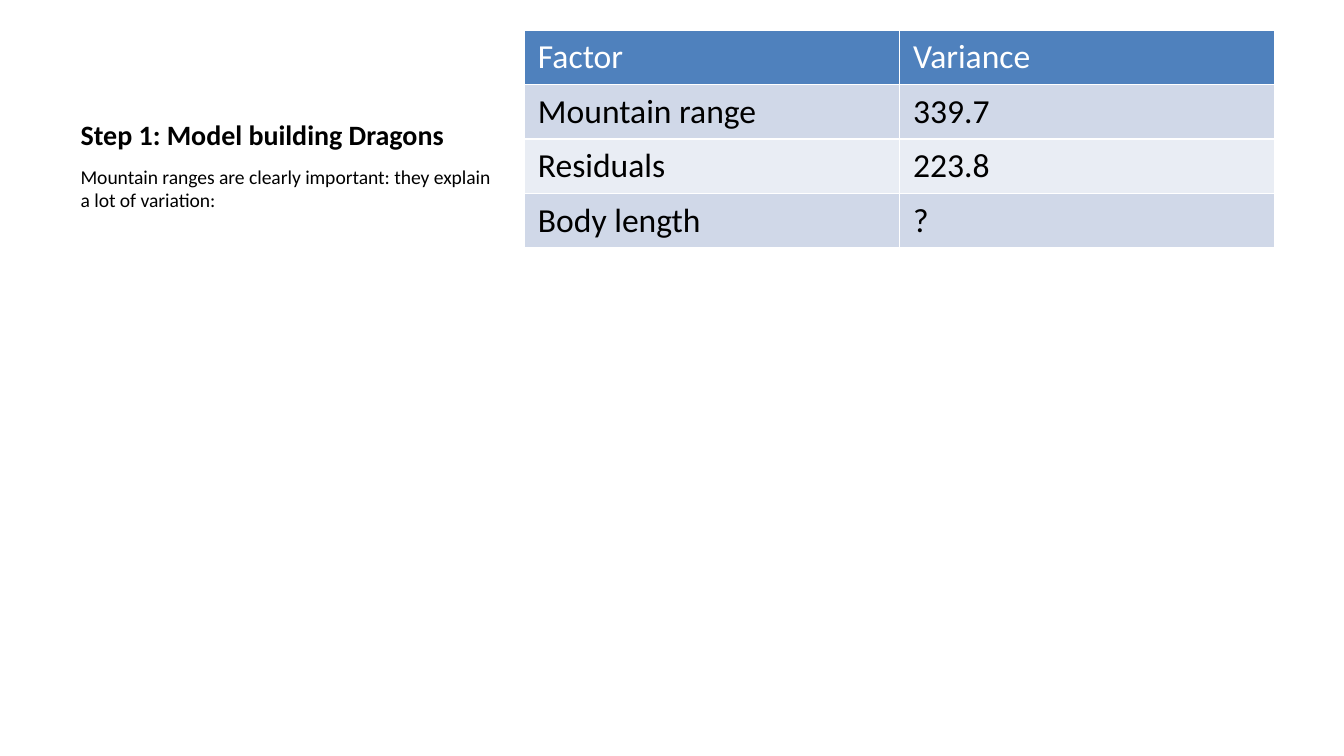
import pptx
import pptx.dml.color
import pptx.enum.text
import pptx.util

Pt = pptx.util.Pt
COLORS = {
    "text": "000000",
    "header_text": "FFFFFF",
    "header": "4F81BD",
    "odd_row": "D0D8E8",
    "even_row": "E9EDF4",
}
ROWS = [
    ("Factor", "Variance"),
    ("Mountain range", "339.7"),
    ("Residuals", "223.8"),
    ("Body length", "?"),
]


def color(name):
    return pptx.dml.color.RGBColor.from_string(COLORS[name])


def style_paragraph(para, size, color_name, bold=False):
    para.font.name = "Calibri"
    para.font.size = Pt(size)
    para.font.bold = bold
    para.font.color.rgb = color(color_name)


deck = pptx.Presentation()
deck.slide_width, deck.slide_height = Pt(720), Pt(405)
page = deck.slides.add_slide(deck.slide_layouts.get_by_name("Content with Caption"))

# The table takes the place of the content placeholder
content = page.placeholders[1]
content.element.getparent().remove(content.element)

# Title and caption share the left column
captions = [
    (page.shapes.title, "Step 1: Model building Dragons", 16, 68.6, 15, True),
    (page.placeholders[2],
     "Mountain ranges are clearly important: they explain a lot of variation:",
     84.6, 277, 10.5, False),
]
for box, text, top, height, size, bold in captions:
    box.left, box.top, box.width, box.height = Pt(36), Pt(top), Pt(237), Pt(height)
    frame = box.text_frame
    frame.text = text
    frame.word_wrap = True
    frame.auto_size = pptx.enum.text.MSO_AUTO_SIZE.NONE
    style_paragraph(frame.paragraphs[0], size, "text", bold)
page.shapes.title.text_frame.vertical_anchor = pptx.enum.text.MSO_ANCHOR.BOTTOM

# Variance table
row_height = 29.2
table = page.shapes.add_table(
    len(ROWS), len(ROWS[0]), Pt(281), Pt(16), Pt(402), Pt(row_height * len(ROWS))
).table
for row_index, values in enumerate(ROWS):
    table.rows[row_index].height = Pt(row_height)
    if row_index == 0:
        fill_name, text_name = "header", "header_text"
    else:
        fill_name, text_name = ("odd_row" if row_index % 2 else "even_row"), "text"
    for column_index, value in enumerate(values):
        cell = table.cell(row_index, column_index)
        cell.text = value
        cell.fill.solid()
        cell.fill.fore_color.rgb = color(fill_name)
        style_paragraph(cell.text_frame.paragraphs[0], 18, text_name)

deck.save("out.pptx")
